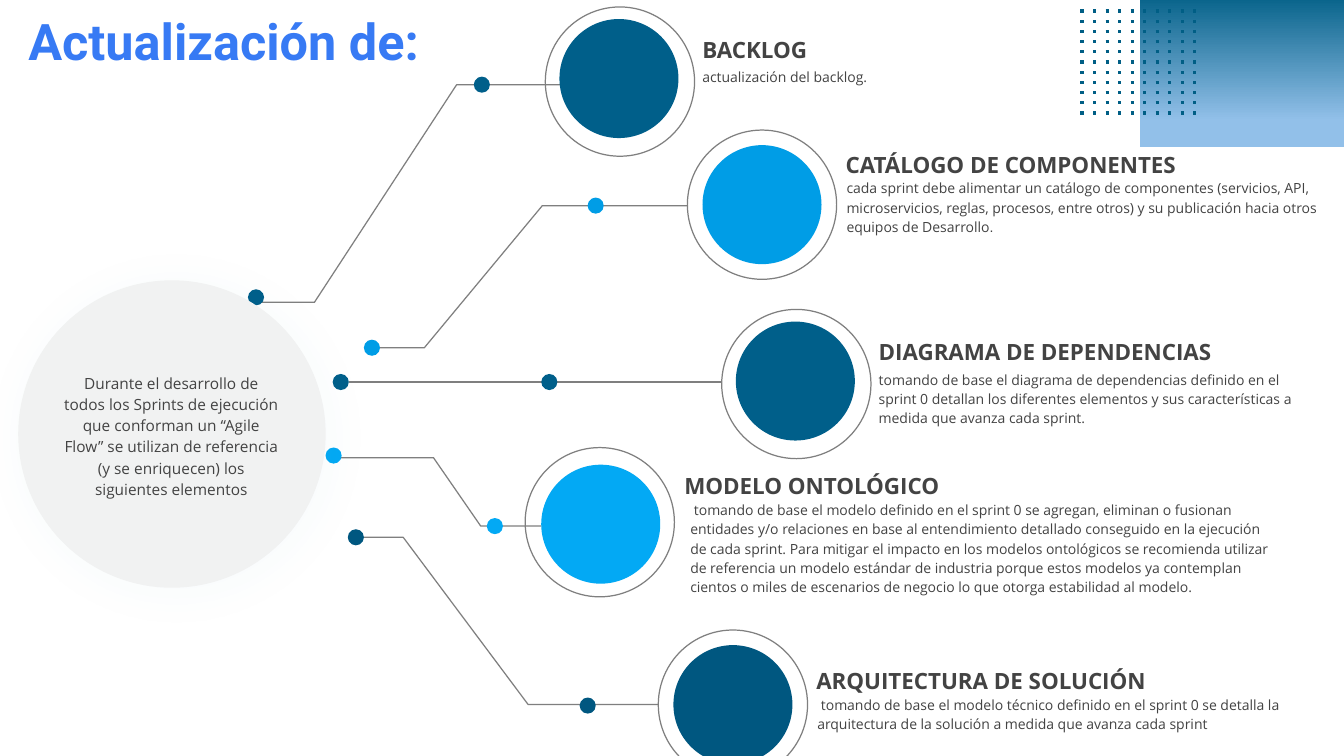
from dataclasses import dataclass

from lxml import etree
from pptx import Presentation
from pptx.dml.color import RGBColor
from pptx.enum.shapes import MSO_CONNECTOR, MSO_SHAPE
from pptx.enum.text import MSO_ANCHOR, MSO_AUTO_SIZE, PP_ALIGN
from pptx.oxml.ns import qn
from pptx.util import Pt

OVAL, RECT = MSO_SHAPE.OVAL, MSO_SHAPE.RECTANGLE
STRAIGHT = MSO_CONNECTOR.STRAIGHT
LEFT, CENTER = PP_ALIGN.LEFT, PP_ALIGN.CENTER
TOP = MSO_ANCHOR.TOP
NO_FIT = MSO_AUTO_SIZE.NONE


@dataclass(frozen=True)
class Theme:
    title: str = "377AF4"
    text: str = "434343"
    line: str = "7F7F7F"
    hub: str = "F1F2F2"
    glow: str = "399AB1"
    dark: str = "005E85"
    pale: str = "92C0E9"
    navy: str = "005F8A"
    sky: str = "009DE6"
    azure: str = "03A9F4"
    deep: str = "005780"
    title_font: str = "Roboto"
    body_font: str = "Open Sans"
    tail_font: str = "Arial"
    title_size: float = 36
    heading_size: float = 16
    hub_size: float = 11
    body_size: float = 10
    line_width: float = 0.87
    dot_width: float = 2.25


T = Theme()
RING, DISC, DOT = 106.6, 85, 11.5


@dataclass(frozen=True)
class Item:
    heading: str
    body: str
    color: str
    ring: tuple
    disc: tuple
    route: list
    dots: list
    label: tuple
    gap: tuple
    width: float
    tail: str = ""
    indent: float = 0


ITEMS = [
    Item("CATÁLOGO DE COMPONENTES",
         "cada sprint debe alimentar un catálogo de componentes (servicios, API, "
         "microservicios, reglas, procesos, entre otros) y su publicación hacia "
         "otros equipos de Desarrollo",
         T.sky, (491, 92.9), (10.8, 10.8),
         [(491, 146.9), (387.4, 146.9), (303.1, 248.4), (271.4, 248.4)],
         [(265.7, 248.4), (425.5, 146.9)],
         (596.9, 106.6), (0.7, 16.5), 353.5, tail="."),
    Item("DIAGRAMA DE DEPENDENCIAS",
         "tomando de base el diagrama de dependencias definido en el sprint 0 "
         "detallan los diferentes elementos y sus características a medida que "
         "avanza cada sprint.",
         T.navy, (515.5, 221), (10.1, 8.7),
         [(249.1, 272.9), (514.8, 272.9)],
         [(243.4, 272.9), (392.4, 272.9)],
         (620.6, 240.5), (0, 19.4), 310.3),
    Item("MODELO ONTOLÓGICO",
         "tomando de base el modelo definido en el sprint 0 se agregan, eliminan o "
         "fusionan entidades y/o relaciones en base al entendimiento detallado "
         "conseguido en la ejecución de cada sprint. Para mitigar el impacto en los "
         "modelos ontológicos se recomienda utilizar de referencia un modelo estándar "
         "de industria porque estos modelos ya contemplan cientos o miles de "
         "escenarios de negocio lo que otorga estabilidad al modelo.",
         T.azure, (375.1, 319.7), (11.5, 12.2),
         [(241.9, 326.9), (309.6, 326.9), (343.4, 375.8), (386.6, 375.8)],
         [(238.3, 325.4), (353.5, 375.8)],
         (481.7, 336.2), (4.3, 16.6), 434.2, indent=2.6),
    Item("ARQUITECTURA DE SOLUCIÓN",
         "tomando de base el modelo técnico definido en el sprint 0 se detalla la "
         "arquitectura de la solución a medida que avanza cada sprint",
         T.deep, (470.2, 450), (10.8, 10.8),
         [(259.9, 383.8), (288, 383.8), (377.3, 503.3), (470.2, 503.3)],
         [(254.2, 383.8), (419.8, 504)],
         (576, 475.2), (0.7, 16.6), 386.6, indent=2.6),
    Item("BACKLOG", "actualización del backlog.",
         T.navy, (389.5, 5), (10.1, 8.6),
         [(452.2, 60.5), (326.2, 60.5), (224.6, 216), (185.8, 216)],
         [(182.9, 212.4), (344.2, 60.5)],
         (494.6, 24.5), (0, 19.4), 310.3),
]


def rgb(value):
    return RGBColor.from_string(value)


def write_text(sp, text, size, color=T.text, font=T.body_font, bold=False,
               align=LEFT, spacing=None, inset=(7.2, 3.6), indent=0, tail=""):
    tf = sp.text_frame
    tf.word_wrap, tf.auto_size, tf.vertical_anchor = True, NO_FIT, TOP
    tf.margin_left = tf.margin_right = Pt(inset[0])
    tf.margin_top = tf.margin_bottom = Pt(inset[1])
    p = tf.paragraphs[0]
    p.alignment = align
    if spacing:
        p.line_spacing = spacing
    if indent:
        p._p.get_or_add_pPr().set("indent", str(int(Pt(indent))))
    for part, face in ((text, font), (tail, T.tail_font)):
        if part:
            r = p.add_run()
            r.text = part
            r.font.name, r.font.size, r.font.bold = face, Pt(size), bold
            r.font.color.rgb = rgb(color)


def add_label(s, box, text, size, **fmt):
    write_text(s.shapes.add_textbox(*map(Pt, box)), text, size, **fmt)


def style_outline(sp):
    sp.shadow.inherit = False
    sp.fill.background()
    sp.line.color.rgb = rgb(T.line)
    sp.line.width = Pt(T.line_width)


def add_circle(s, x, y, d, color=None):
    sp = s.shapes.add_shape(OVAL, Pt(x), Pt(y), Pt(d), Pt(d))
    if color is None:
        style_outline(sp)
    else:
        sp.shadow.inherit = False
        sp.fill.solid()
        sp.fill.fore_color.rgb = rgb(color)
        sp.line.fill.background()
    return sp


def add_line(shapes, start, end, color, width, dash=None):
    c = shapes.add_connector(STRAIGHT, *map(Pt, (*start, *end)))
    c.line.color.rgb = rgb(color)
    c.line.width = Pt(width)
    spPr = c._element.spPr
    if dash:
        etree.SubElement(spPr.find(qn("a:ln")), qn("a:prstDash")).set("val", dash)
    etree.SubElement(spPr, qn("a:effectLst"))


def add_route(s, points):
    if len(points) == 2:
        add_line(s.shapes, *points, T.line, T.line_width)
        return
    start, *rest = [(Pt(x), Pt(y)) for x, y in points]
    fb = s.shapes.build_freeform(*start)
    fb.add_line_segments(rest, close=False)
    style_outline(fb.convert_to_shape())


def add_title(s, box):
    sp = s.shapes.title
    sp.left, sp.top, sp.width, sp.height = map(Pt, box)
    write_text(sp, "Actualización de:", T.title_size, color=T.title,
               font=T.title_font, bold=True)


def add_corner(s, x, y, w, h):
    sp = s.shapes.add_shape(RECT, Pt(x + (w - h) / 2), Pt(y + (h - w) / 2), Pt(h), Pt(w))
    sp.rotation = 90
    sp.shadow.inherit = False
    sp.line.fill.background()
    sp.fill.gradient()
    sp.fill.gradient_angle = 0
    for stop, position, color in zip(sp.fill.gradient_stops, (0.16, 0.86), (T.dark, T.pale)):
        stop.position = position
        stop.color.rgb = rgb(color)
    grid = s.shapes.add_group_shape()
    left, top, length, rows, step = x - 42.2, y + 36.3, 87.9, 11, 7.28
    for i in range(rows):
        row = top + i * step
        add_line(grid.shapes, (left, row), (left + length, row), T.dark, T.dot_width, "dot")


def add_item(s, item):
    x, y = item.ring
    add_route(s, item.route)
    for cx, cy in item.dots:
        add_circle(s, cx - DOT / 2, cy - DOT / 2, DOT, item.color)
    add_circle(s, x + item.disc[0], y + item.disc[1], DISC, item.color)
    add_circle(s, x, y, RING)
    lx, ly = item.label
    add_label(s, (lx + item.gap[0], ly + item.gap[1], item.width, 44.6), item.body,
              T.body_size, spacing=1.15, indent=item.indent, tail=item.tail)
    add_label(s, (lx, ly, 292, 27.4), item.heading, T.heading_size, bold=True, spacing=0.9)


def add_hub(s, x, y, d):
    sp = add_circle(s, x, y, d, T.hub)
    effects = sp._element.spPr.find(qn("a:effectLst"))
    shadow = etree.SubElement(effects, qn("a:outerShdw"), blurRad=str(int(Pt(32))),
                              dist=str(int(Pt(4))), dir="2700000", algn="ctr", rotWithShape="0")
    color = etree.SubElement(shadow, qn("a:srgbClr"), val=T.glow)
    etree.SubElement(color, qn("a:alpha"), val="4000")
    add_label(s, (x + 24.5, y + 57.6, 169.9, 104.4),
              "Durante el desarrollo de todos los Sprints de ejecución que conforman un "
              "“Agile Flow” se utilizan de referencia (y se enriquecen) los siguientes elementos",
              T.hub_size, align=CENTER, spacing=1.15, inset=(7.2, 7.2))


def main():
    prs = Presentation()
    prs.slide_width, prs.slide_height = Pt(960), Pt(540)
    s = prs.slides.add_slide(prs.slide_layouts[5])
    add_title(s, (13, 3.6, 628.6, 51.1))
    add_corner(s, 814, -28.4, 149.8, 133.2)
    for item in ITEMS:
        add_item(s, item)
    add_hub(s, 13, 200.2, 219.6)
    prs.save("out.pptx")


if __name__ == "__main__":
    main()
